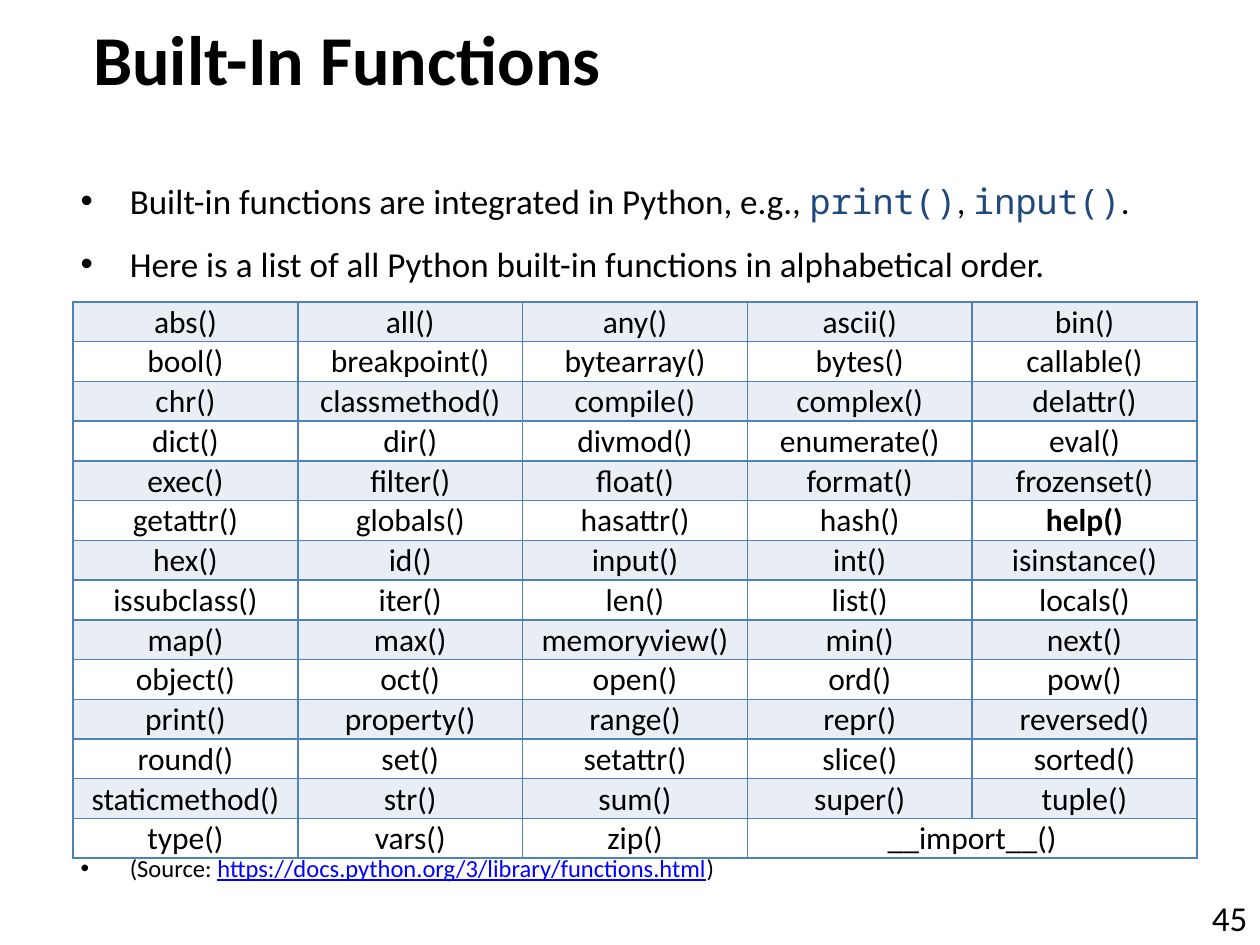
from dataclasses import dataclass

from lxml import etree
from pptx import Presentation, util as u
from pptx.dml import color as dml
from pptx.enum import text as t
from pptx.oxml import ns

SLIDE_WIDTH, SLIDE_HEIGHT = u.Inches(10), u.Inches(7.5)
SANS, MONO = "Calibri", "Noto Sans Mono"
BLACK, WHITE, NAVY, LINK_BLUE = "000000", "FFFFFF", "1F497D", "0000FF"
BAND, BORDER = "E9EDF4", "4F81BD"
HELP_CELL = "help()"
COLUMN_COUNT = 5
FUNCTION_NAMES = """
abs all any ascii bin
bool breakpoint bytearray bytes callable
chr classmethod compile complex delattr
dict dir divmod enumerate eval
exec filter float format frozenset
getattr globals hasattr hash help
hex id input int isinstance
issubclass iter len list locals
map max memoryview min next
object oct open ord pow
print property range repr reversed
round set setattr slice sorted
staticmethod str sum super tuple
type vars zip __import__
""".split()


@dataclass(frozen=True)
class Area:
    """Left, top, width and height in percent of the slide."""
    left: float
    top: float
    width: float
    height: float

    def box(self) -> tuple[int, int, int, int]:
        return (int(SLIDE_WIDTH * self.left / 100), int(SLIDE_HEIGHT * self.top / 100),
                int(SLIDE_WIDTH * self.width / 100), int(SLIDE_HEIGHT * self.height / 100))


@dataclass(frozen=True)
class Piece:
    text: str
    color: str = BLACK
    font: str = SANS
    underline: bool = False


@dataclass(frozen=True)
class Bullet:
    pieces: tuple[Piece, ...]
    size: int = 20
    space_before: int = 0


TITLE_AREA = Area(6.4, 0, 88.6, 12.27)
BODY_AREA = Area(5.4, 18.3, 92.6, 43.87)
TABLE_AREA = Area(5.8, 31.95, 89.2, 58.7)
NUMBER_AREA = Area(86.3, 92.8, 13.7, 7.2)

BULLETS = (
    Bullet((Piece("Built-in functions are integrated in Python, e.g., "),
            Piece("print()", NAVY, MONO), Piece(", "),
            Piece("input()", NAVY, MONO), Piece("."))),
    Bullet((Piece("Here is a list of all Python built-in functions in alphabetical order."),),
           space_before=12),
    Bullet((Piece("(Source: "),
            Piece("https://docs.python.org/3/library/functions.html", LINK_BLUE, underline=True),
            Piece(")")), size=14, space_before=325),
)


def rgb(value: str) -> dml.RGBColor:
    return dml.RGBColor.from_string(value)


def style(font, size: int, color: str = BLACK, name: str = SANS, bold: bool = False) -> None:
    font.size, font.name, font.bold = u.Pt(size), name, bold
    font.color.rgb = rgb(color)


def place(shape, area: Area) -> None:
    shape.left, shape.top, shape.width, shape.height = area.box()


def draw_title(shape, title: str) -> None:
    place(shape, TITLE_AREA)
    frame = shape.text_frame
    frame.text = title
    frame.auto_size = t.MSO_AUTO_SIZE.NONE
    frame.vertical_anchor = t.MSO_ANCHOR.MIDDLE
    frame.paragraphs[0].alignment = t.PP_ALIGN.LEFT
    style(frame.paragraphs[0].runs[0].font, 40, bold=True)


def draw_bullets(shape, bullets: tuple[Bullet, ...]) -> None:
    place(shape, BODY_AREA)
    frame = shape.text_frame
    frame.auto_size = t.MSO_AUTO_SIZE.NONE
    for index, bullet in enumerate(bullets):
        paragraph = frame.add_paragraph() if index else frame.paragraphs[0]
        properties = paragraph._p.get_or_add_pPr()
        properties.set("marL", str(u.Inches(0.39)))
        properties.set("indent", str(-u.Inches(0.39)))
        paragraph.space_before = u.Pt(bullet.space_before)
        etree.SubElement(properties, ns.qn("a:buChar"), char="•")
        for piece in bullet.pieces:
            run = paragraph.add_run()
            run.text = piece.text
            style(run.font, bullet.size, piece.color, piece.font)
            run.font.underline = piece.underline


def draw_borders(cell, color: str) -> None:
    properties = cell._tc.get_or_add_tcPr()
    for side in ("lnL", "lnR", "lnT", "lnB"):
        line = etree.SubElement(properties, ns.qn(f"a:{side}"), w=str(u.Pt(1)))
        fill = etree.SubElement(line, ns.qn("a:solidFill"))
        etree.SubElement(fill, ns.qn("a:srgbClr"), val=color)


def format_cell(cell, fill: str) -> None:
    draw_borders(cell, BORDER)
    cell.fill.solid()
    cell.fill.fore_color.rgb = rgb(fill)
    cell.vertical_anchor = t.MSO_ANCHOR.MIDDLE
    cell.margin_left = cell.margin_right = cell.margin_top = u.Inches(0.01)
    cell.margin_bottom = 0


def draw_function_table(slide, names: list[str]) -> None:
    row_count = -(-len(names) // COLUMN_COUNT)
    frame = slide.shapes.add_table(row_count, COLUMN_COUNT, *TABLE_AREA.box())
    table = frame.table
    table.first_row = table.horz_banding = False
    for row in range(row_count):
        for column in range(COLUMN_COUNT):
            format_cell(table.cell(row, column), WHITE if row % 2 else BAND)
    last_row = row_count - 1
    table.cell(last_row, COLUMN_COUNT - 2).merge(table.cell(last_row, COLUMN_COUNT - 1))
    for index, name in enumerate(names):
        cell = table.cell(*divmod(index, COLUMN_COUNT))
        cell.text = f"{name}()"
        paragraph = cell.text_frame.paragraphs[0]
        paragraph.alignment = t.PP_ALIGN.CENTER
        style(paragraph.runs[0].font, 18, bold=cell.text == HELP_CELL)


def draw_slide_number(slide, number: str) -> None:
    frame = slide.shapes.add_textbox(*NUMBER_AREA.box()).text_frame
    frame.text = number
    frame.word_wrap = False
    frame.vertical_anchor = t.MSO_ANCHOR.BOTTOM
    frame.paragraphs[0].alignment = t.PP_ALIGN.RIGHT
    style(frame.paragraphs[0].runs[0].font, 20)


def main() -> None:
    presentation = Presentation()
    presentation.slide_width, presentation.slide_height = SLIDE_WIDTH, SLIDE_HEIGHT
    slide = presentation.slides.add_slide(presentation.slide_layouts[1])
    draw_title(slide.shapes.title, "Built-In Functions")
    draw_bullets(slide.placeholders[1], BULLETS)
    draw_function_table(slide, FUNCTION_NAMES)
    draw_slide_number(slide, "45")
    presentation.save("out.pptx")


if __name__ == "__main__":
    main()
